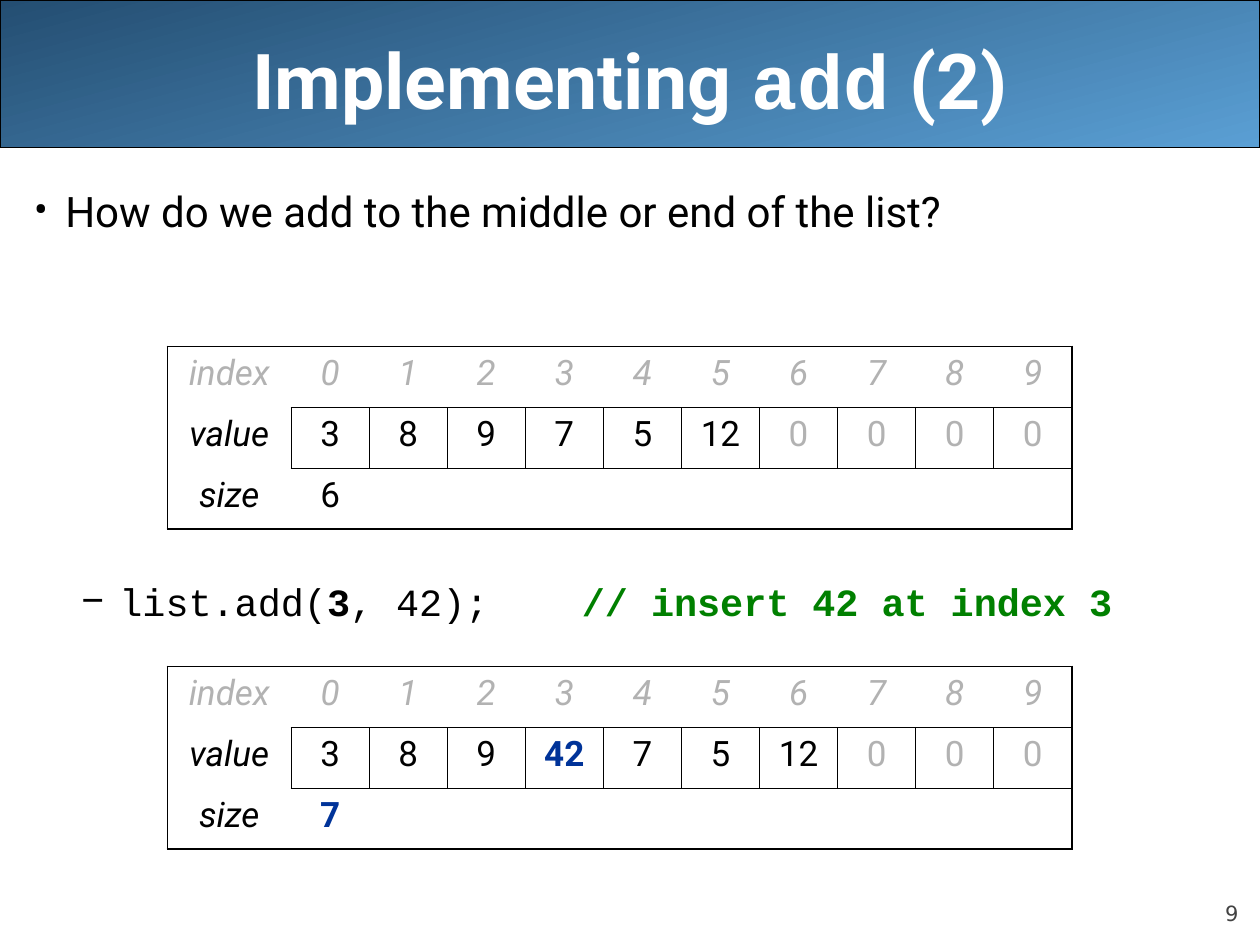
from lxml import etree
from pptx import Presentation
from pptx.dml.color import RGBColor
from pptx.enum.shapes import MSO_SHAPE as Shape
from pptx.enum.text import MSO_ANCHOR as Anchor, PP_ALIGN as Align
from pptx.oxml.ns import qn
from pptx.util import Inches, Pt

SANS, MONO = "Roboto", "Courier New"
BLACK, GREY, BLUE, GREEN = "000000", "B2B2B2", "003399", "008000"
THICK, THIN = 1.08, 0.45
NO_STYLE = "{2D5ABB26-0587-4C30-8999-92F81FD0307C}"


def colour(value):
    return RGBColor.from_string(value)


def add_text(paragraph, text, size=20, font=SANS, color=BLACK, bold=False, italic=False):
    run = paragraph.add_run()
    run.text = text
    run.font.size, run.font.name = Pt(size), font
    run.font.bold, run.font.italic = bold, italic
    run.font.color.rgb = colour(color)


def add_bullet(paragraph, mark, left, hanging, tab=None):
    properties = paragraph._p.get_or_add_pPr()
    properties.set("marL", str(Inches(left)))
    properties.set("indent", str(-Inches(hanging)))
    bullet_color = etree.SubElement(properties, qn("a:buClr"))
    etree.SubElement(bullet_color, qn("a:srgbClr"), val=BLACK)
    etree.SubElement(properties, qn("a:buFont"), typeface=SANS)
    etree.SubElement(properties, qn("a:buChar"), char=mark)
    if tab:
        tabs = etree.SubElement(properties, qn("a:tabLst"))
        etree.SubElement(tabs, qn("a:tab"), pos=str(Inches(tab)), algn="l")


def set_borders(cell, **widths):
    properties = cell._tc.get_or_add_tcPr()
    for side in "LRTB":
        width = widths.get(side)
        line = etree.SubElement(properties, qn(f"a:ln{side}"), w=str(Pt(width or 0)))
        if width:
            fill = etree.SubElement(line, qn("a:solidFill"))
            etree.SubElement(fill, qn("a:srgbClr"), val=BLACK)
        else:
            etree.SubElement(line, qn("a:noFill"))


class SlideBuilder:
    def __init__(self, slide):
        self.slide = slide

    def banner(self, left, top, width, height, start, end):
        shape = self.slide.shapes.add_shape(
            Shape.ROUNDED_RECTANGLE, Inches(left), Inches(top), Inches(width), Inches(height))
        shape.adjustments[0] = 0
        shape.shadow.inherit = False
        shape.fill.gradient()
        shape.fill.gradient_angle = 285
        for stop, value in zip(shape.fill.gradient_stops, (start, end)):
            stop.color.rgb = colour(value)
        shape.line.color.rgb = colour(BLACK)
        shape.line.width = Pt(0.75)

    def text_box(self, left, top, width, height, anchor=Anchor.TOP, align=Align.LEFT, inset=True):
        box = self.slide.shapes.add_textbox(
            Inches(left), Inches(top), Inches(width), Inches(height))
        frame = box.text_frame
        frame.word_wrap = True
        frame.vertical_anchor = anchor
        if not inset:
            frame.margin_left = frame.margin_right = frame.margin_top = frame.margin_bottom = 0
        frame.paragraphs[0].alignment = align
        return frame

    def array_table(self, left, top, values, size, changed=None):
        """Draw a list's array: `size` used cells, with the changed index in blue."""
        last = len(values)
        table = self.slide.shapes.add_table(
            3, last + 1, Inches(left), Inches(top), Inches(7.18), Inches(1.45)).table
        table.first_row = table.horz_banding = False
        table._tbl.tblPr.find(qn("a:tableStyleId")).text = NO_STYLE
        for row in table.rows:
            row.height = Inches(1.45 / 3)
        for number, column in enumerate(table.columns):
            column.width = Inches(0.62 if number else 0.98)

        def write(row, column, text, **style):
            paragraph = table.cell(row, column).text_frame.paragraphs[0]
            paragraph.alignment = Align.CENTER
            add_text(paragraph, str(text), **style)

        # Row labels, indexes, values and size
        for row, label in enumerate(("index", "value", "size")):
            write(row, 0, label, color=BLACK if row else GREY, italic=True)
        for index, value in enumerate(values):
            write(0, index + 1, index, color=GREY, italic=True)
            is_new = index == changed
            used = BLUE if is_new else BLACK
            write(1, index + 1, value, color=used if index < size else GREY, bold=is_new)
        resized = changed is not None
        write(2, 1, size, color=BLUE if resized else BLACK, bold=resized)

        # Thick outer frame, thin boxes around the values
        for row in range(3):
            for column in range(last + 1):
                boxed = THIN if column else None
                inner = THIN if row == 1 else None
                cell = table.cell(row, column)
                set_borders(
                    cell,
                    L=inner if column else THICK,
                    R=THICK if column == last else inner,
                    T=boxed if row else THICK,
                    B=THICK if row == 2 else boxed)
                cell.fill.background()


def main():
    presentation = Presentation()
    presentation.slide_width, presentation.slide_height = Inches(10), Inches(7.5)
    builder = SlideBuilder(presentation.slides.add_slide(presentation.slide_layouts[6]))

    # Banner and slide number
    builder.banner(0, 0, 10, 1.17, "244E72", "5A9FD4")
    number = builder.text_box(9, 6.95, 0.83, 0.4, Anchor.BOTTOM, Align.RIGHT, inset=False)
    add_text(number.paragraphs[0], "9", size=12, font="DejaVu Sans", color="424242")

    # Title
    title = builder.text_box(0.5, 0, 9, 1.25, Anchor.MIDDLE, Align.CENTER).paragraphs[0]
    for text, font in (("Implementing ", SANS), ("add", MONO), (" (2)", SANS)):
        add_text(title, text, size=44, font=font, color="FFFFFF", bold=True)

    # Question and code line
    body = builder.text_box(0.17, 1.42, 9.83, 5.67)
    question = body.paragraphs[0]
    add_bullet(question, "•", 0.25, 0.25)
    add_text(question, "How do we add to the middle or end of the list?", size=24)
    code = body.add_paragraph()
    add_bullet(code, "–", 0.68, 0.31, tab=4.35)
    code.space_before = Pt(196)
    for text, color, bold in (
            ("list.add(", BLACK, False), ("3", BLACK, True), (", 42);\t", BLACK, False),
            ("// insert 42 at index 3", GREEN, True)):
        add_text(code, text, size=22, font=MONO, color=color, bold=bold)

    # Array before and after the insertion
    builder.array_table(1.33, 2.75, [3, 8, 9, 7, 5, 12, 0, 0, 0, 0], size=6)
    builder.array_table(1.33, 5.29, [3, 8, 9, 42, 7, 5, 12, 0, 0, 0], size=7, changed=3)

    presentation.save("out.pptx")


if __name__ == "__main__":
    main()
